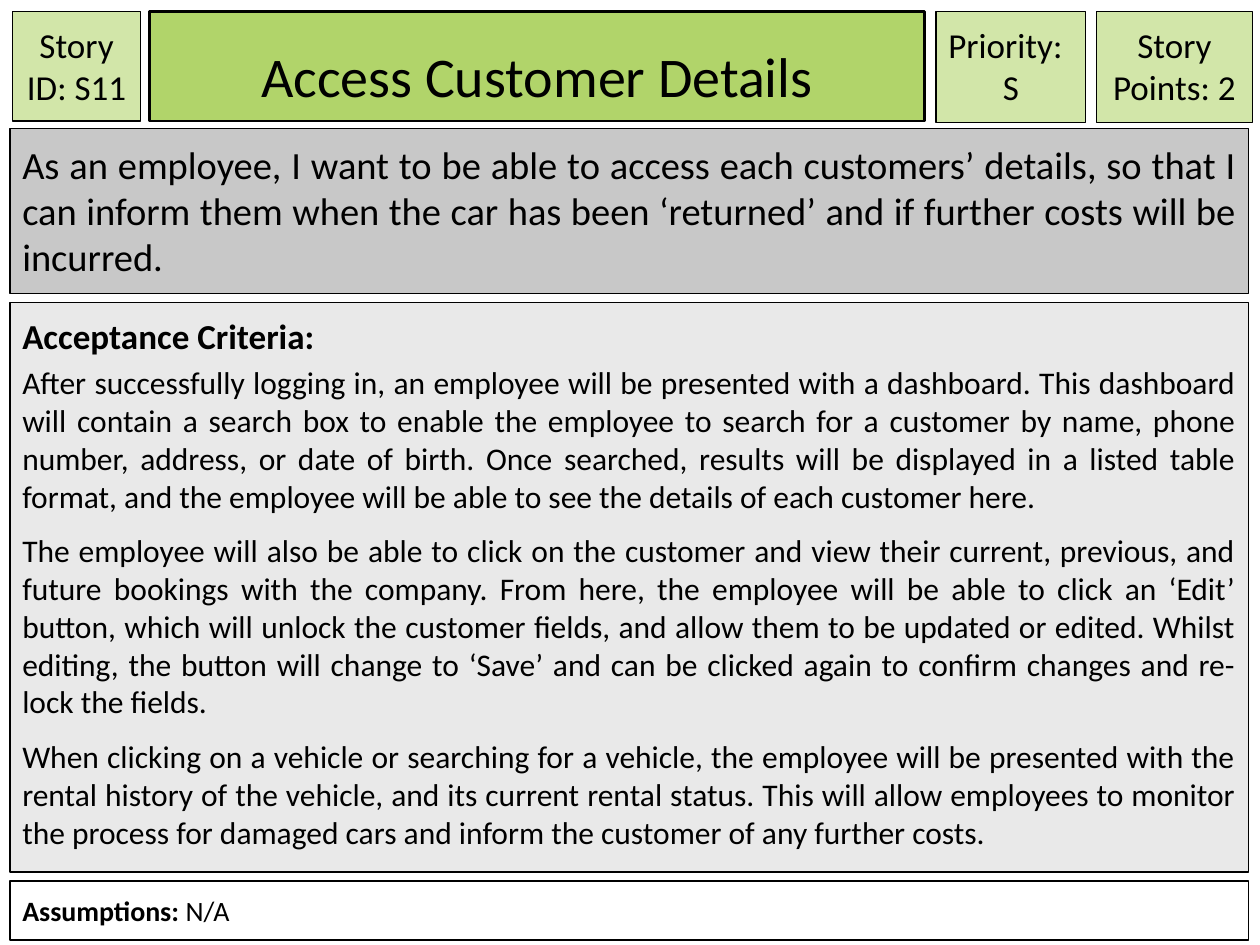
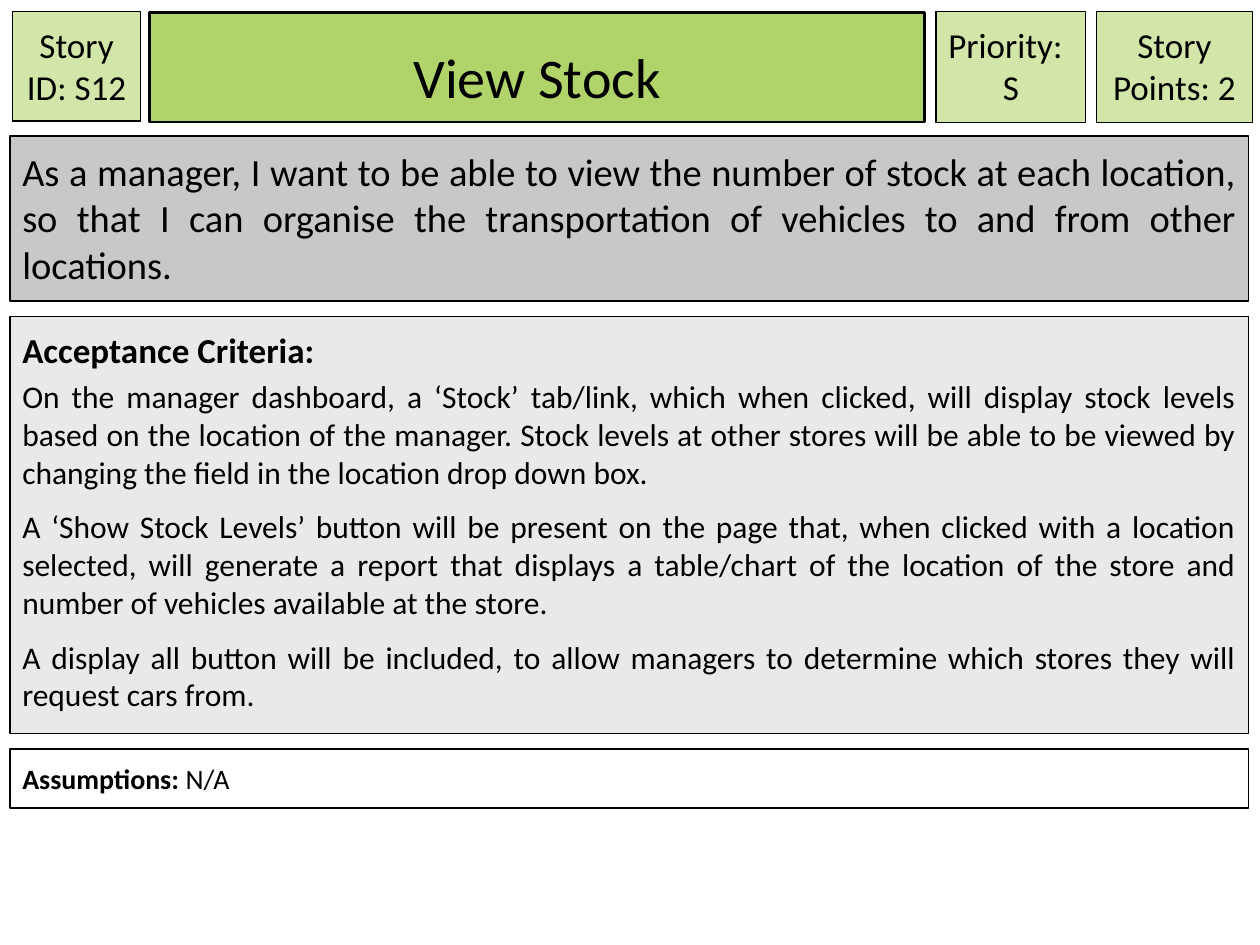
from pptx import Presentation
from pptx.dml.color import RGBColor
from pptx.enum.shapes import MSO_SHAPE as Shape
from pptx.enum.text import MSO_ANCHOR as Anchor, MSO_AUTO_SIZE as AutoSize, PP_ALIGN as Align
from pptx.util import Cm, Pt

FONT = "Calibri"
BLACK, WHITE = "000000", "FFFFFF"
TITLE_GREEN, TILE_GREEN = "B1D46A", "D2E6A9"
STORY_GREY, CRITERIA_GREY = "C8C8C8", "E9E9E9"

PANEL_LEFT, PANEL_WIDTH = 0.2, 24.97
STORY_HEIGHT, ASSUMPTIONS_HEIGHT = 3.33, 1.19
TILE_TOP = 0.23

LEFT = {"alignment": Align.LEFT}
CENTRED = {"alignment": Align.CENTER}
PANEL_TEXT = {"alignment": Align.JUSTIFY, "space_before": Pt(6)}
HEADING = {"alignment": Align.LEFT, "space_before": Pt(6)}
CRITERION = {"alignment": Align.JUSTIFY, "space_before": Pt(3.6), "space_after": Pt(6)}

STORIES = [
    {
        "id": "S11",
        "title": "Access Customer Details",
        "priority": "S",
        "points": 2,
        "title_top": 0.23,
        "story_top": 2.59,
        "gap": 0.18,
        "criteria_height": 11.48,
        "story": "As an employee, I want to be able to access each customers’ details, so that I "
                 "can inform them when the car has been ‘returned’ and if further costs will be "
                 "incurred.",
        "criteria": [
            "After successfully logging in, an employee will be presented with a dashboard. This "
            "dashboard will contain a search box to enable the employee to search for a customer "
            "by name, phone number, address, or date of birth. Once searched, results will be "
            "displayed in a listed table format, and the employee will be able to see the details "
            "of each customer here.",
            "The employee will also be able to click on the customer and view their current, "
            "previous, and future bookings with the company. From here, the employee will be able "
            "to click an ‘Edit’ button, which will unlock the customer fields, and allow them to "
            "be updated or edited. Whilst editing, the button will change to ‘Save’ and can be "
            "clicked again to confirm changes and re-lock the fields.",
            "When clicking on a vehicle or searching for a vehicle, the employee will be presented "
            "with the rental history of the vehicle, and its current rental status. This will "
            "allow employees to monitor the process for damaged cars and inform the customer of "
            "any further costs.",
        ],
        "assumptions": "N/A",
    },
    {
        "id": "S12",
        "title": "View Stock",
        "priority": "S",
        "points": 2,
        "title_top": 0.25,
        "story_top": 2.74,
        "gap": 0.31,
        "criteria_height": 8.41,
        "story": "As a manager, I want to be able to view the number of stock at each location, "
                 "so that I can organise the transportation of vehicles to and from other "
                 "locations.",
        "criteria": [
            "On the manager dashboard, a ‘Stock’ tab/link, which when clicked, will display stock "
            "levels based on the location of the manager. Stock levels at other stores will be "
            "able to be viewed by changing the field in the location drop down box.",
            "A ‘Show Stock Levels’ button will be present on the page that, when clicked with a "
            "location selected, will generate a report that displays a table/chart of the location "
            "of the store and number of vehicles available at the store.",
            "A display all button will be included, to allow managers to determine which stores "
            "they will request cars from.",
        ],
        "assumptions": "N/A",
    },
]


def color(hex_string):
    return RGBColor.from_string(hex_string)


def apply(target, values):
    for name, value in values.items():
        setattr(target, name, value)


class StoryCard:
    def __init__(self, deck):
        self.slide = deck.slides.add_slide(deck.slide_layouts[6])

    def box(self, left, top, width, height, fill, paragraphs, line=0.75, anchor=Anchor.TOP):
        """Draw a bordered box; each paragraph is (format, [(text, size, bold), ...])."""
        box = self.slide.shapes.add_shape(
            Shape.RECTANGLE, Cm(left), Cm(top), Cm(width), Cm(height))
        box.shadow.inherit = False
        box.fill.solid()
        box.fill.fore_color.rgb = color(fill)
        box.line.color.rgb = color(BLACK)
        box.line.width = Pt(line)
        frame = box.text_frame
        margins = {f"margin_{side}": Cm(0.25) for side in ("left", "top", "right", "bottom")}
        apply(frame, {"word_wrap": True, "vertical_anchor": anchor,
                      "auto_size": AutoSize.SHAPE_TO_FIT_TEXT, **margins})
        for index, (layout, runs) in enumerate(paragraphs):
            paragraph = frame.add_paragraph() if index else frame.paragraphs[0]
            apply(paragraph, layout)
            for text, size, bold in runs:
                run = paragraph.add_run()
                run.text = text
                apply(run.font, {"name": FONT, "size": Pt(size), "bold": bold})
                run.font.color.rgb = color(BLACK)

    def title(self, text, top):
        self.box(3.02, top, 15.62, 2.21, TITLE_GREEN, [(CENTRED, [(text, 32, False)])],
                 line=1.5, anchor=Anchor.BOTTOM)

    def tile(self, left, width, height, *lines):
        self.box(left, TILE_TOP, width, height, TILE_GREEN,
                 [(layout, [(text, 20, False)]) for layout, text in lines])

    def panel(self, top, height, fill, paragraphs):
        self.box(PANEL_LEFT, top, PANEL_WIDTH, height, fill, paragraphs)

    def fill_in(self, story):
        criteria_top = story["story_top"] + STORY_HEIGHT + story["gap"]
        assumptions_top = criteria_top + story["criteria_height"] + story["gap"]

        self.panel(story["story_top"], STORY_HEIGHT, STORY_GREY,
                   [(PANEL_TEXT, [(story["story"], 22, False)])])
        self.tile(22.1, 3.15, 2.24, (CENTRED, f"Story Points: {story['points']}"))
        self.tile(18.87, 3.02, 2.24, (LEFT, "Priority:"), (CENTRED, story["priority"]))
        self.title(story["title"], story["title_top"])
        self.tile(0.25, 2.59, 2.21, (CENTRED, f"Story ID: {story['id']}"))
        self.panel(criteria_top, story["criteria_height"], CRITERIA_GREY,
                   [(HEADING, [("Acceptance Criteria:", 20, True)])]
                   + [(CRITERION, [(text, 18, False)]) for text in story["criteria"]])
        self.panel(assumptions_top, ASSUMPTIONS_HEIGHT, WHITE,
                   [(PANEL_TEXT, [("Assumptions: ", 16, True),
                                  (story["assumptions"], 16, False)])])


def main():
    deck = Presentation()
    deck.slide_width, deck.slide_height = Cm(25.4), Cm(19.05)
    for story in STORIES:
        StoryCard(deck).fill_in(story)
    deck.save("out.pptx")


if __name__ == "__main__":
    main()
